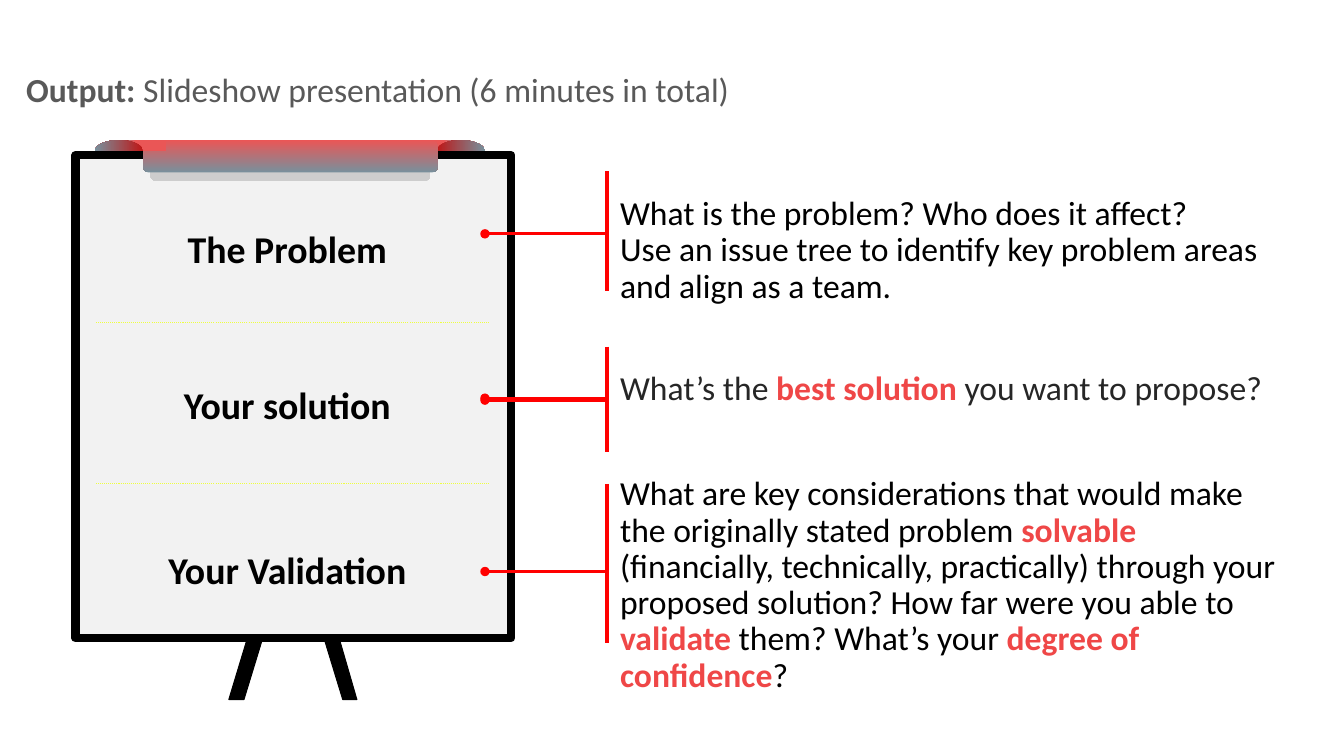
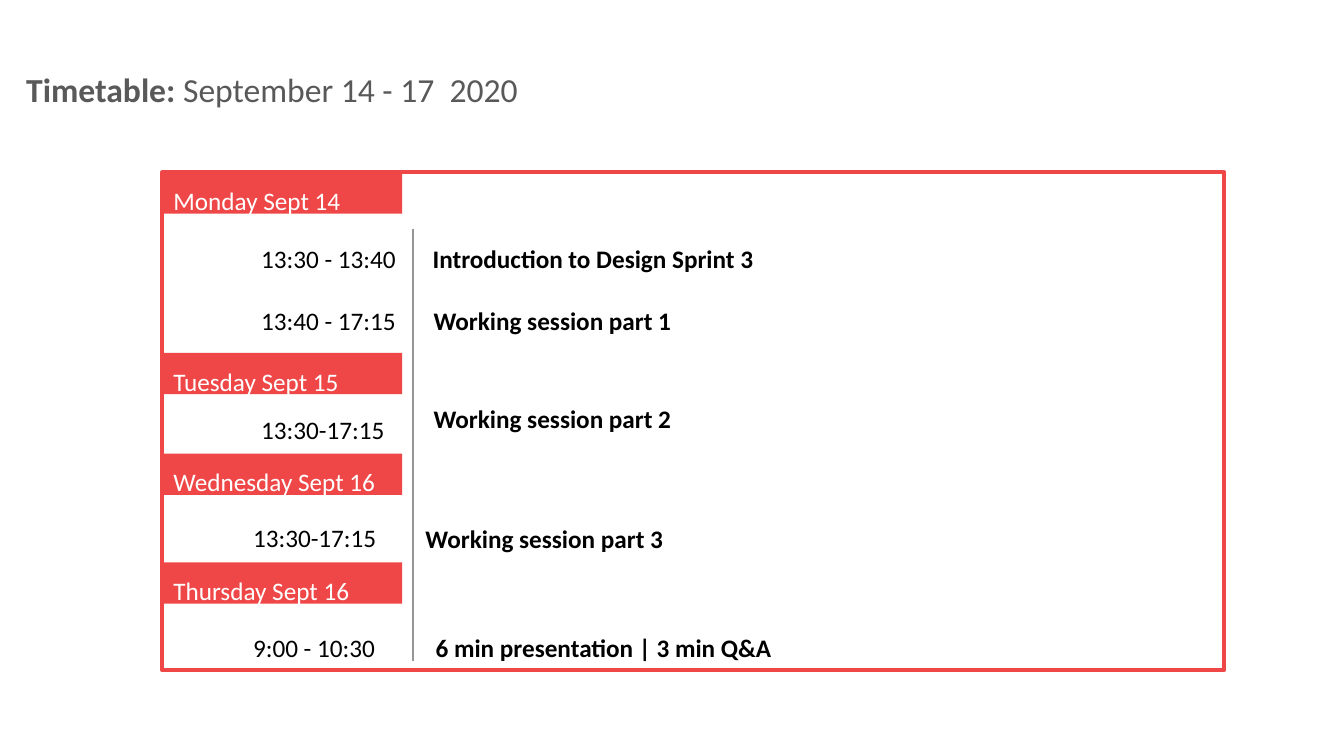
import math
from dataclasses import dataclass

from lxml import etree
from pptx import Presentation
from pptx.dml.color import RGBColor
from pptx.enum.dml import MSO_LINE
from pptx.enum.shapes import MSO_CONNECTOR, MSO_SHAPE
from pptx.enum.text import MSO_ANCHOR, PP_ALIGN
from pptx.oxml.ns import qn
from pptx.shapes.autoshape import Shape
from pptx.shapes.connector import Connector
from pptx.slide import Slide
from pptx.util import Inches, Pt

RECT, ROUNDED = MSO_SHAPE.RECTANGLE, MSO_SHAPE.ROUNDED_RECTANGLE
STRAIGHT, DOTTED = MSO_CONNECTOR.STRAIGHT, MSO_LINE.ROUND_DOT
TOP, MIDDLE = MSO_ANCHOR.TOP, MSO_ANCHOR.MIDDLE
LEFT, CENTER = PP_ALIGN.LEFT, PP_ALIGN.CENTER

FONT = "Calibri"
COLORS = {
    "title": "595959", "text": "000000", "soft_text": "262626",
    "accent": "EF4747", "white": "FFFFFF", "paper": "F2F2F2",
    "clip_red": "EA5656", "ear_red": "BD1616", "steel": "78909C",
    "pointer": "FF0000", "divider": "EEFF41", "rule": "969696",
}

Box = tuple[float, float, float, float]
Point = tuple[float, float]


@dataclass(frozen=True)
class Run:
    """A stretch of text in one style."""
    text: str
    color: str = "text"
    bold: bool = False


@dataclass(frozen=True)
class TextStyle:
    """Size, spacing and placing of a text block."""
    size: float
    spacing: float = 1.0
    align: PP_ALIGN = LEFT
    anchor: MSO_ANCHOR = TOP
    left_inset: float = 0


@dataclass(frozen=True)
class Topic:
    """A flipchart heading with its explanation and pointer."""
    heading: str
    heading_top: float
    explanation: list[list[Run]]
    explanation_top: float
    explanation_height: float
    bracket: Point
    pointers: tuple[float, ...]


@dataclass(frozen=True)
class Session:
    """A time slot and what happens in it."""
    time: str
    time_at: Point
    activity: str
    activity_at: Point


@dataclass(frozen=True)
class Day:
    """A day bar with its sessions."""
    label: str
    top: float
    sessions: tuple[Session, ...]


TITLE = TextStyle(24)
EXPLANATION = TextStyle(24, spacing=0.9)
HEADING = TextStyle(27, align=CENTER, anchor=MIDDLE)
SCHEDULE = TextStyle(18, spacing=1.5)
DAY_LABEL = TextStyle(18, spacing=1.5, anchor=MIDDLE, left_inset=0.11)

TOPICS = [
    Topic("The Problem", 2.19, [
        [Run("What is the problem? Who does it affect?")],
        [Run("Use an issue tree to identify key problem areas and align as a team.")],
    ], 1.95, 0.57, (1.7, 2.89), (2.32,)),
    Topic("Your solution", 3.74, [[
        Run("What’s the ", "soft_text"),
        Run("best solution", "accent", True),
        Run(" you want to propose?", "soft_text"),
    ]], 3.69, 0.57, (3.44, 4.48), (3.95, 3.97)),
    Topic("Your Validation", 5.38, [[
        Run("What are key considerations that would make the originally "
            "stated problem "),
        Run("solvable ", "accent", True),
        Run("(financially, technically, practically) through your proposed "
            "solution? How far were you able to "),
        Run("validate ", "accent", True),
        Run("them? What’s your "),
        Run("degree of confidence", "accent", True),
        Run("?"),
    ]], 4.73, 1.13, (4.8, 6.38), (5.67,)),
]

DAYS = [
    Day("Monday Sept 14", 1.71, (
        Session("13:30 - 13:40", (2.59, 2.26),
                "Introduction to Design Sprint 3", (4.29, 2.26)),
        Session("13:40 - 17:15", (2.59, 2.88),
                "Working session part 1", (4.3, 2.88)),
    )),
    Day("Tuesday Sept 15", 3.5, (
        Session("13:30-17:15", (2.59, 3.96),
                "Working session part 2", (4.3, 3.85)),
    )),
    Day("Wednesday Sept 16", 4.5, (
        Session("13:30-17:15", (2.51, 5.03),
                "Working session part 3", (4.22, 5.04)),
    )),
    Day("Thursday Sept 16", 5.58, (
        Session("9:00 - 10:30", (2.51, 6.12),
                "6 min presentation | 3 min Q&A", (4.32, 6.12)),
    )),
]


def rgb(color: str) -> RGBColor:
    """Look up a named colour."""
    return RGBColor.from_string(COLORS[color])


def write(shape: Shape, paragraphs: list[list[Run]], style: TextStyle) -> None:
    """Fill a shape with styled runs."""
    frame = shape.text_frame
    frame.word_wrap = True
    frame.vertical_anchor = style.anchor
    frame.margin_left = Inches(style.left_inset)
    frame.margin_top = frame.margin_right = frame.margin_bottom = 0
    for index, runs in enumerate(paragraphs):
        paragraph = frame.add_paragraph() if index else frame.paragraphs[0]
        paragraph.alignment = style.align
        paragraph.line_spacing = style.spacing
        for part in runs:
            run = paragraph.add_run()
            run.text = part.text
            run.font.name = FONT
            run.font.size = Pt(style.size)
            run.font.bold = part.bold
            run.font.color.rgb = rgb(part.color)


def add_text(slide: Slide, box: Box, paragraphs: list[list[Run]],
             style: TextStyle) -> None:
    """Place a text box."""
    write(slide.shapes.add_textbox(*map(Inches, box)), paragraphs, style)


def add_title(slide: Slide, label: str, detail: str) -> None:
    """Place the title shared by all slides."""
    runs = [Run(label, "title", True), Run(detail, "title")]
    add_text(slide, (0.26, 0.68, 12.13, 0.4), [runs], TITLE)


def paint(shape: Shape, fill: str, line: str = "", width: float = 0) -> None:
    """Give a shape a plain fill and an optional outline."""
    shape.shadow.inherit = False
    shape.fill.solid()
    shape.fill.fore_color.rgb = rgb(fill)
    if line:
        shape.line.color.rgb = rgb(line)
        shape.line.width = Pt(width)
    else:
        shape.line.fill.background()


def paint_metal(shape: Shape, red: str, angle: float, red_until: float = 0) -> None:
    """Fade a clip part from red to steel."""
    shape.shadow.inherit = False
    shape.line.fill.background()
    shape.fill.gradient()
    shape.fill.gradient_angle = angle
    start, end = shape.fill.gradient_stops
    start.color.rgb, start.position = rgb(red), red_until
    end.color.rgb, end.position = rgb("steel"), 1


def add_box(slide: Slide, box: Box, kind: MSO_SHAPE = RECT) -> Shape:
    """Place a preset shape."""
    return slide.shapes.add_shape(kind, *map(Inches, box))


def add_outline(slide: Slide, points: list[Point]) -> Shape:
    """Draw a closed outline through points."""
    corners = [(Inches(x), Inches(y)) for x, y in points]
    builder = slide.shapes.build_freeform(*corners[0])
    builder.add_line_segments(corners[1:], close=True)
    return builder.convert_to_shape()


def add_line(slide: Slide, start: Point, end: Point, color: str,
             width: float) -> Connector:
    """Draw a straight line without shadow."""
    line = slide.shapes.add_connector(STRAIGHT, *map(Inches, start + end))
    line.line.color.rgb = rgb(color)
    line.line.width = Pt(width)
    etree.SubElement(line._element.spPr, qn("a:effectLst"))
    return line


def add_clip_end(slide: Slide, ear_left: float, tab_left: float,
                 angle: float) -> None:
    """Draw one end of the clip: a tab and a domed ear."""
    tab = add_box(slide, (tab_left, 1.39, 0.47, 0.11))
    paint_metal(tab, "clip_red", angle, 0.64)
    arc = [math.pi * step / 24 for step in range(25)]
    ear = add_outline(slide, [(ear_left + 0.24 * (1 - math.cos(turn)),
                               1.5 - 0.11 * math.sin(turn)) for turn in arc])
    paint_metal(ear, "ear_red", angle)


def add_clip_bar(slide: Slide) -> None:
    """Draw the middle of the clip with its drop shadow."""
    bar = add_box(slide, (1.42, 1.39, 2.92, 0.32), ROUNDED)
    bar.adjustments[0] = 0.165
    paint_metal(bar, "clip_red", 270)
    effects = bar._element.spPr.find(qn("a:effectLst"))
    shadow = etree.SubElement(
        effects, qn("a:outerShdw"), blurRad="0", dist=str(Pt(7)),
        dir="5400000", sx="95000", sy="95000", algn="t", rotWithShape="0")
    tone = etree.SubElement(shadow, qn("a:srgbClr"), val=COLORS["text"])
    etree.SubElement(tone, qn("a:alpha"), val="15000")


def add_flipchart(slide: Slide) -> None:
    """Draw the stand, board, clip and dividers."""
    right_leg = [(3.32, 6.18), (3.54, 6.94), (3.4, 6.94), (3.18, 6.22)]
    left_leg = [(2.5, 6.18), (2.64, 6.22), (2.42, 6.94), (2.27, 6.94)]
    for leg in (right_leg, left_leg):
        paint(add_outline(slide, leg), "text", "text", 0.75)
    paint(add_box(slide, (0.75, 1.54, 4.32, 4.79)), "paper", "text", 6)
    add_clip_end(slide, 4.33, 4.1, 0)
    add_clip_bar(slide)
    add_clip_end(slide, 0.94, 1.18, 180)
    for y in (3.2, 4.8):
        divider = add_line(slide, (0.95, y), (4.86, y), "divider", 0.75)
        divider.line.dash_style = DOTTED


def add_topic(slide: Slide, topic: Topic) -> None:
    """Place a heading, its explanation and the pointer between them."""
    add_text(slide, (0.84, topic.heading_top, 4.02, 0.54),
             [[Run(topic.heading, bold=True)]], HEADING)
    add_text(slide, (6.15, topic.explanation_top, 6.69, topic.explanation_height),
             topic.explanation, EXPLANATION)
    for y in topic.pointers:
        pointer = add_line(slide, (6.02, y), (4.81, y), "pointer", 2.25)
        etree.SubElement(pointer.line._get_or_add_ln(), qn("a:tailEnd"), type="oval")
    top, bottom = topic.bracket
    add_line(slide, (6.02, top), (6.02, bottom), "pointer", 2.25)


def add_day(slide: Slide, day: Day) -> None:
    """Place a day bar and its sessions."""
    bar = add_box(slide, (1.61, day.top, 2.38, 0.41))
    paint(bar, "accent")
    write(bar, [[Run(day.label, "white")]], DAY_LABEL)
    for session in day.sessions:
        add_text(slide, (*session.time_at, 1.37, 0.41),
                 [[Run(session.time)]], SCHEDULE)
        add_text(slide, (*session.activity_at, 5.35, 0.41),
                 [[Run(session.activity, bold=True)]], SCHEDULE)


deck = Presentation()
deck.slide_width, deck.slide_height = Inches(13.33), Inches(7.5)
blank = deck.slide_layouts[6]

output = deck.slides.add_slide(blank)
add_flipchart(output)
add_title(output, "Output: ", "Slideshow presentation (6 minutes in total)")
for topic in TOPICS:
    add_topic(output, topic)

timetable = deck.slides.add_slide(blank)
add_title(timetable, "Timetable: ", "September 14 - 17  2020")
paint(add_box(timetable, (1.61, 1.71, 10.53, 4.94)), "white", "accent", 3)
add_line(timetable, (4.1, 2.27), (4.1, 6.56), "rule", 1.5)
for day in DAYS:
    add_day(timetable, day)

deck.save("out.pptx")
